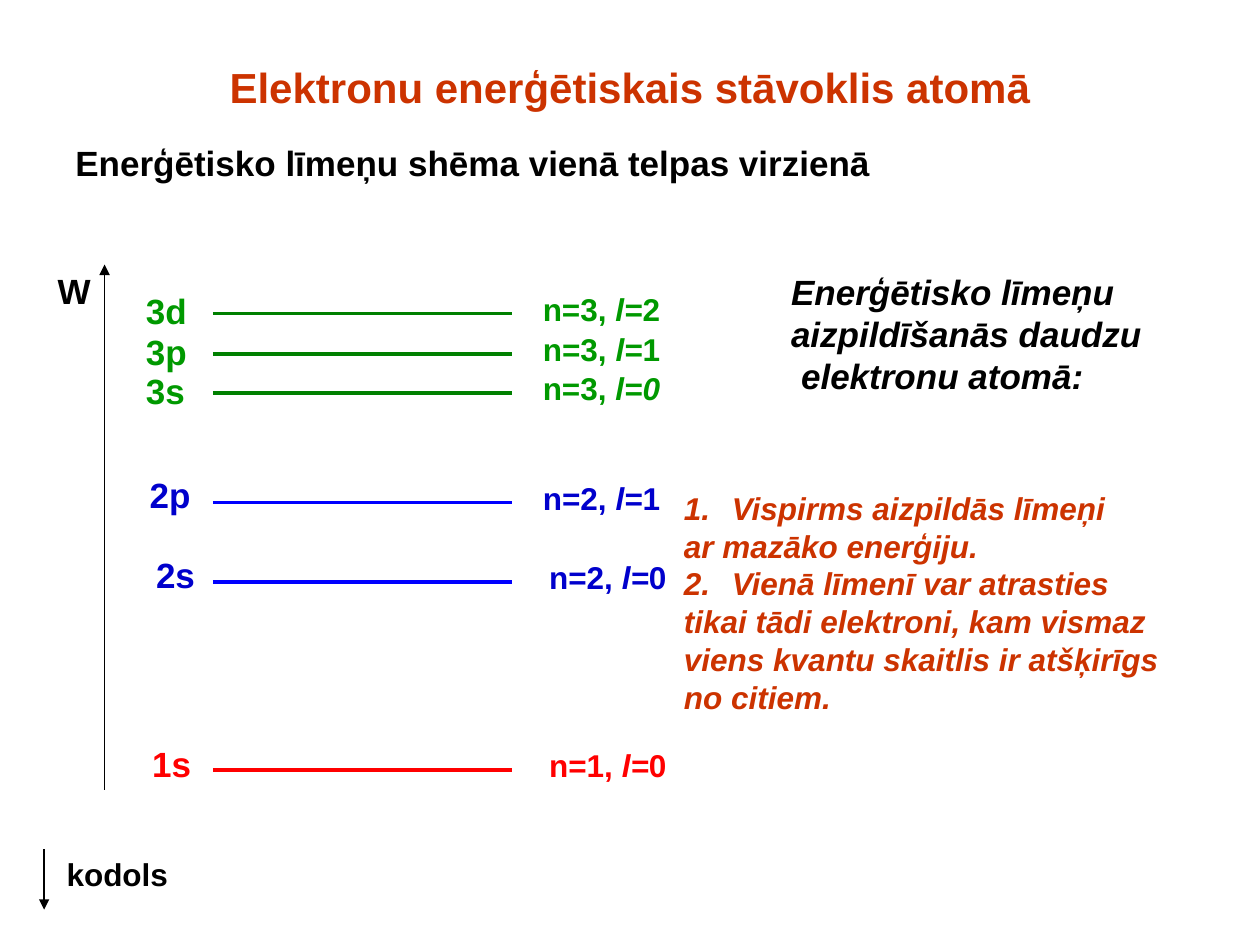
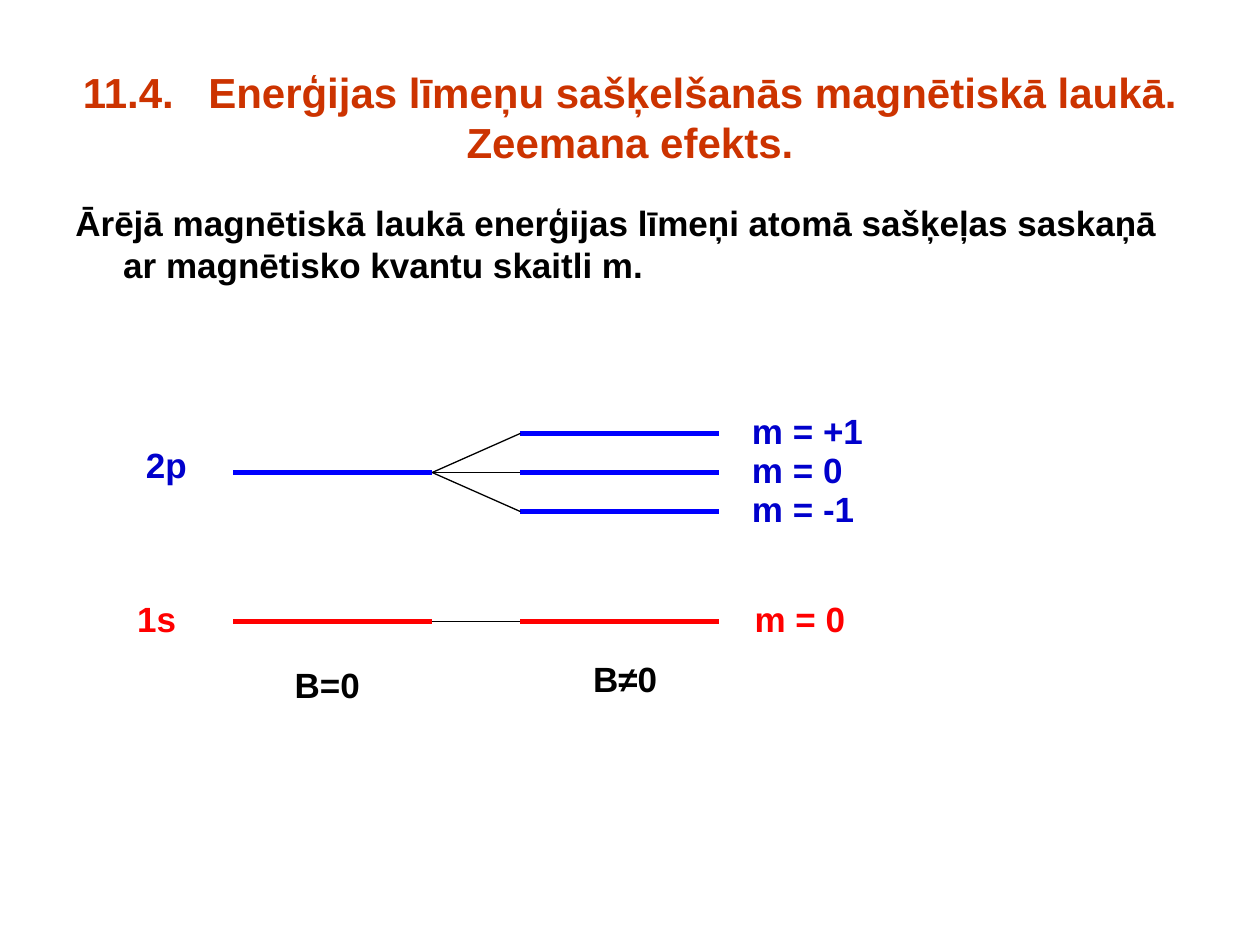
import pptx
import pptx.util
import pptx.dml.color
import pptx.enum.text
import pptx.enum.shapes
import pptx.oxml.ns
from lxml import etree

Inches = pptx.util.Inches
Align = pptx.enum.text.PP_ALIGN
Anchor = pptx.enum.text.MSO_ANCHOR
Fit = pptx.enum.text.MSO_AUTO_SIZE
qn = pptx.oxml.ns.qn

COLORS = {
    "black": "000000", "rust": "CC3300", "red": "FF0000",
    "green": "009900", "blue": "0000CC",
    "green line": "008000", "blue line": "0000FF", "red line": "FF0000",
}
FONT = "Arial"
HANG = 0.38
RISE = 0.24
LABEL = (0.54, 0.44)

ATOM = {
    "title": ["Elektronu enerģētiskais stāvoklis atomā"],
    "lead": "Enerģētisko līmeņu shēma vienā telpas virzienā",
    "split": 1.07,
    "foot": 7.05,
}
SHELLS = {3: ("green", 0.24), 2: ("blue", 0.28), 1: ("red", 0.27)}
LEVELS = [
    ("3d", 3, "2", 2.49, 1.06, 4.21, 1.2),
    ("3p", 3, "1", 2.81, 1.06, 4.21, 1.15),
    ("3s", 3, "0", 3.12, 1.06, 4.21, 1.2),
    ("2p", 2, "1", 3.99, 1.09, 4.21, 1.15),
    ("2s", 2, "0", 4.62, 1.14, 4.26, 1.15),
    ("1s", 1, "0", 6.11, 1.11, 4.26, 1.15),
]
INTRO = [
    ("Enerģētisko līmeņu", {}),
    ("aizpildīšanās daudzu", {}),
    ("elektronu atomā:", {"left": 0.08}),
]
RULES = [
    (1, "Vispirms aizpildās līmeņi"),
    (None, "ar mazāko enerģiju."),
    (2, "Vienā līmenī var atrasties"),
    (None, "tikai tādi elektroni, kam vismaz"),
    (None, "viens kvantu skaitlis ir atšķirīgs"),
    (None, "no citiem."),
]

ZEEMAN = {
    "title": ["11.4.", (" ", {"gap": 13}),
              "Enerģijas līmeņu sašķelšanās magnētiskā laukā. Zeemana efekts."],
    "lead": "Ārējā magnētiskā laukā enerģijas līmeņi atomā sašķeļas saskaņā "
            "ar magnētisko kvantu skaitli m.",
    "split": 1.55,
    "foot": 6.7,
}
TERMS = [
    ("2p", "blue", 3.75, 1.06, 0.28, 5.87,
     [("m = +1", -1, 1.1), ("m = 0", 0, 0.94), ("m = -1", 1, 1.03)]),
    ("1s", "red", 4.93, 0.99, RISE, 5.89, [("m = 0", 0, 0.94)]),
]
STEP = 0.31
FIELDS = [("B=0", 2.24, 5.22, 0.74), ("B≠0", 4.61, 5.17, 0.73)]


def color(name):
    return pptx.dml.color.RGBColor.from_string(COLORS[name])


def write(slide, paras, at, size=20, tint="black", italic=False,
          align=Align.LEFT, anchor=Anchor.TOP, wrap=False):
    box = slide.shapes.add_textbox(*map(Inches, at))
    frame = box.text_frame
    frame.word_wrap = wrap
    frame.auto_size = Fit.NONE if wrap else Fit.SHAPE_TO_FIT_TEXT
    frame.vertical_anchor = anchor
    if isinstance(paras, str):
        paras = [(paras, {})]
    for i, (runs, form) in enumerate(paras):
        para = frame.add_paragraph() if i else frame.paragraphs[0]
        para.alignment = align
        props = para._p.get_or_add_pPr()
        props.set("marL", str(Inches(form.get("left", 0))))
        props.set("indent", str(Inches(form.get("first", 0))))
        if form.get("number"):
            etree.SubElement(props, qn("a:buAutoNum"), type="arabicPeriod",
                             startAt=str(form["number"]))
        for part in [runs] if isinstance(runs, str) else runs:
            text, style = (part, {}) if isinstance(part, str) else part
            run = para.add_run()
            run.text = text
            font = run.font
            font.name, font.size, font.bold = FONT, pptx.util.Pt(size), True
            font.italic = style.get("italic", italic)
            font.color.rgb = color(tint)
            if "gap" in style:
                run._r.get_or_add_rPr().set("spc", str(style["gap"] * 100))


def rule(slide, start, end, tint="black", width=0.75, arrow=False):
    line = slide.shapes.add_connector(
        pptx.enum.shapes.MSO_CONNECTOR.STRAIGHT, *map(Inches, start + end))
    line.line.color.rgb = color(tint)
    line.line.width = pptx.util.Pt(width)
    props = line._element.spPr
    if arrow:
        etree.SubElement(props.find(qn("a:ln")), qn("a:tailEnd"), type="triangle")
    etree.SubElement(props, qn("a:effectLst"))


def start(deck, page):
    slide = deck.slides.add_slide(deck.slide_layouts[6])
    split = page["split"]
    write(slide, [(page["title"], {})], (0.5, 0.3, 9, split - 0.3), size=24,
          tint="rust", align=Align.CENTER, anchor=Anchor.MIDDLE, wrap=True)
    write(slide, [(page["lead"], {"left": HANG, "first": -HANG})],
          (0.5, split, 9, page["foot"] - split), wrap=True)
    return slide


def atom(deck):
    slide = start(deck, ATOM)
    rule(slide, (0.83, 6.27), (0.83, 2.1), arrow=True)
    write(slide, "W", (0.36, 2.09, 0.48, 0.44))
    for name, shell, orbit, y, left, right, width in LEVELS:
        tint, rise = SHELLS[shell]
        rule(slide, (1.69, y), (4.06, y), tint + " line", 2)
        write(slide, name, (left, y - rise, *LABEL), tint=tint)
        runs = [f"n={shell}, ", ("l=", {"italic": True}),
                (orbit, {"italic": name == "3s"})]
        write(slide, [(runs, {})], (right, y - RISE, width, 0.4),
              size=18, tint=tint)
    write(slide, "kodols", (0.43, 6.74, 1.04, 0.4), size=18)
    rule(slide, (0.35, 6.74), (0.35, 7.22), arrow=True)
    write(slide, INTRO, (6.18, 2.1, 3.04, 1.1), italic=True)
    lines = [(text, {"left": HANG, "first": -HANG, "number": number})
             for number, text in RULES]
    write(slide, lines, (5.33, 3.83, 4.71, 1.9), size=18, tint="rust",
          italic=True)


def zeeman(deck):
    slide = start(deck, ZEEMAN)
    for name, tint, y, left, rise, right, parts in TERMS:
        ink = tint + " line"
        rule(slide, (1.85, y), (3.43, y), ink, 3)
        write(slide, name, (left, y - rise, *LABEL), tint=tint)
        for text, shift, width in parts:
            level = y + shift * STEP
            rule(slide, (4.13, level), (5.71, level), ink, 3)
            rule(slide, (3.43, y), (4.13, level))
            write(slide, text, (right, level - RISE, width, 0.44), tint=tint)
    for text, left, top, width in FIELDS:
        write(slide, text, (left, top, width, 0.44))


def main():
    deck = pptx.Presentation()
    deck.slide_width, deck.slide_height = Inches(10), Inches(7.5)
    atom(deck)
    zeeman(deck)
    deck.save("out.pptx")


if __name__ == "__main__":
    main()
